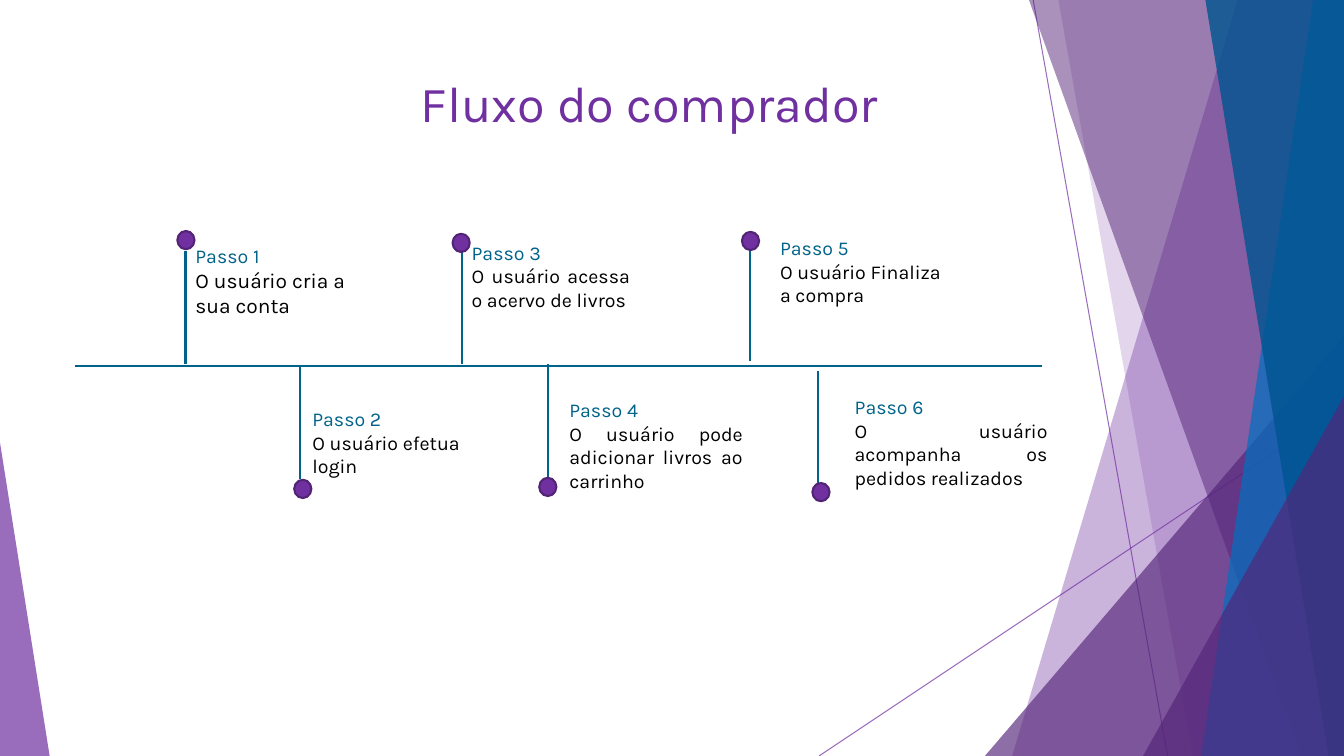
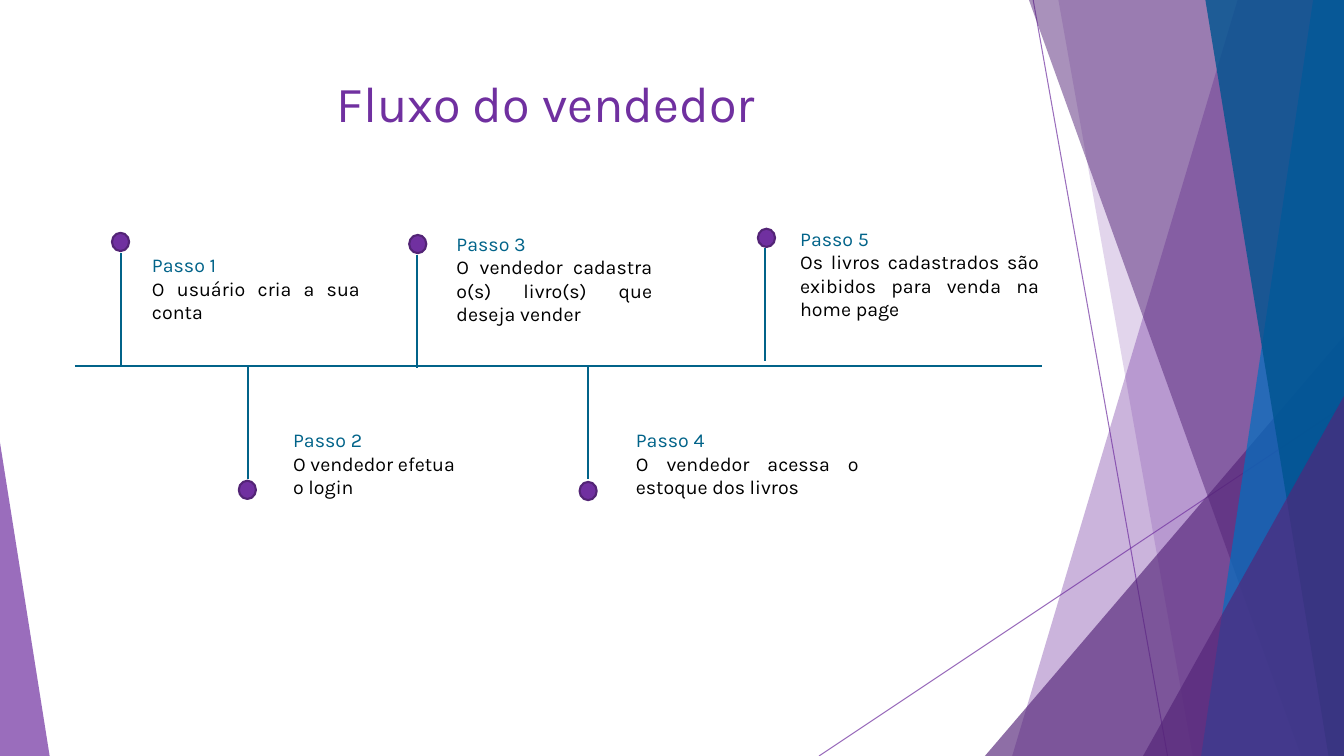
import dataclasses

import pptx
import pptx.dml.color
import pptx.enum.shapes
import pptx.enum.text
import pptx.oxml
import pptx.oxml.ns
import pptx.util

Pt = pptx.util.Pt
ALIGN = pptx.enum.text.PP_ALIGN
SHAPE = pptx.enum.shapes.MSO_SHAPE

WIDTH, HEIGHT = 960, 540
FONT = "Karla"
PURPLE, DEEP_PURPLE, DOT_EDGE = "7030A0", "542478", "532476"
BLUE, DEEP_BLUE, TEAL, BLACK = "0070C0", "005490", "016389", "000000"
AXIS_LEFT, AXIS_RIGHT, AXIS_Y = 53.5, 744, 261.5
STEM_LENGTH = 81
DOT_WIDTH, DOT_HEIGHT = 12.25, 13
BODY_SIZE, LINE_HEIGHT, INSET = 14, 16.8, 3.6


@dataclasses.dataclass
class Step:
    """Stem is (x, top), dot is (left, top), label is (left, top, width)."""
    text: str
    stem: tuple
    dot: tuple
    label: tuple
    lines: int = 2
    align: int = ALIGN.JUSTIFY
    size: float = BODY_SIZE


BUYER_STEPS = [
    Step("O usuário cria a sua conta", (132.5, 179.3), (126.7, 165),
         (132.5, 170.6, 127.4), align=ALIGN.LEFT, size=15),
    Step("O usuário efetua login", (214.6, 261.5), (210.2, 342.7),
         (216, 287.3, 128.9), align=ALIGN.LEFT),
    Step("O usuário acessa o acervo de livros", (329.8, 179.3), (323.3, 167),
         (329.8, 168.5, 127.4)),
    Step("O usuário pode adicionar livros ao carrinho", (391.7, 260), (385.2, 341.3),
         (399.6, 280.8, 138.2), lines=3),
    Step("O usuário Finaliza a compra", (535.7, 177.2), (530, 165.6),
         (550.1, 165, 135.4), align=ALIGN.LEFT),
    Step("O usuário acompanha os pedidos realizados", (584.6, 265), (580.3, 345),
         (603.4, 278.6, 152), lines=3),
]
SELLER_STEPS = [
    Step("O usuário cria a sua conta", (86.4, 180.7), (80, 166.3),
         (101.5, 177.1, 162.7)),
    Step("O vendedor efetua o login", (177.1, 261.5), (170.6, 343.4),
         (202.3, 302.4, 131.8), align=ALIGN.LEFT),
    Step("O vendedor cadastra o(s) livro(s) que deseja vender", (298.1, 182.2),
         (292.3, 167.8), (319, 162, 154.1), lines=3),
    Step("O vendedor acessa o estoque dos livros", (419.8, 261.5), (414, 344.2),
         (447.1, 302.4, 173.5)),
    Step("Os livros cadastrados são exibidos para venda na home page",
         (546.5, 177.2), (541.4, 163.4), (564.5, 158.4, 185), lines=3),
]


def paint(fill, color, opacity=100):
    fill.solid()
    fill.fore_color.rgb = pptx.dml.color.RGBColor.from_string(color)
    if opacity < 100:
        node = fill._xPr.find(".//" + pptx.oxml.ns.qn("a:srgbClr"))
        alpha = node.makeelement(pptx.oxml.ns.qn("a:alpha"), {"val": str(opacity * 1000)})
        node.append(alpha)


def finish(shape, color, opacity=100):
    """Give a shape its fill, with no outline and no shadow."""
    shape.shadow.inherit = False
    paint(shape.fill, color, opacity)
    shape.line.fill.background()


def add_line(page, x1, y1, x2, y2, color=TEAL, weight=1.5, opacity=100):
    line = page.shapes.add_connector(
        pptx.enum.shapes.MSO_CONNECTOR.STRAIGHT, Pt(x1), Pt(y1), Pt(x2), Pt(y2))
    paint(line.line.fill, color, opacity)
    line.line.width = Pt(weight)
    properties = line._element.spPr
    properties.append(properties.makeelement(pptx.oxml.ns.qn("a:effectLst"), {}))


def add_wedge(page, top_x, bottom_x, color, opacity):
    """Fill the area from a slanted left edge to the right side of the page."""
    builder = page.shapes.build_freeform(Pt(top_x), 0)
    builder.add_line_segments(
        [(Pt(WIDTH), 0), (Pt(WIDTH), Pt(HEIGHT)), (Pt(bottom_x), Pt(HEIGHT))])
    finish(builder.convert_to_shape(), color, opacity)


def add_corner(page, left, top, width, apex, color, opacity):
    """Stand a triangle on the bottom edge; apex 0 is left, 1 is right."""
    corner = page.shapes.add_shape(
        SHAPE.ISOSCELES_TRIANGLE, Pt(left), Pt(top), Pt(width), Pt(HEIGHT - top))
    corner.adjustments[0] = apex
    finish(corner, color, opacity)


def add_text(page, left, top, width, height):
    box = page.shapes.add_textbox(Pt(left), Pt(top), Pt(width), Pt(height))
    box.text_frame.word_wrap = True
    return box.text_frame


def write(para, text, size=BODY_SIZE, color=BLACK, align=ALIGN.LEFT):
    para.alignment = align
    span = para.add_run()
    span.text = text
    span.font.name = FONT
    span.font.size = Pt(size)
    paint(span.font.fill, color)


def add_backdrop(page):
    add_line(page, 738, 0, 834, HEIGHT, PURPLE, 0.75, 70)
    add_line(page, WIDTH, 290, 585, HEIGHT, PURPLE, 0.75, 70)
    add_wedge(page, 884, 723, PURPLE, 36)
    add_wedge(page, 756, 852, PURPLE, 20)
    add_corner(page, 703.5, 240, 256.5, 1, DEEP_PURPLE, 66)
    add_wedge(page, 735, 929.5, DEEP_PURPLE, 50)
    add_wedge(page, 938, 858, BLUE, 70)
    add_wedge(page, 861, 949, DEEP_BLUE, 80)
    add_corner(page, 816.5, 283, 143.5, 1, DEEP_PURPLE, 66)
    add_corner(page, 0, 316, 35.5, 0, PURPLE, 70)


def add_title(page, text, center):
    width = 400
    frame = add_text(page, center - width / 2, 48.25, width, 50.5)
    write(frame.paragraphs[0], text, size=36, color=PURPLE, align=ALIGN.CENTER)


def add_step(page, number, step):
    x, top = step.stem
    add_line(page, x, top, x, top + STEM_LENGTH)

    dot_left, dot_top = step.dot
    dot = page.shapes.add_shape(
        SHAPE.OVAL, Pt(dot_left), Pt(dot_top), Pt(DOT_WIDTH), Pt(DOT_HEIGHT))
    finish(dot, PURPLE)
    paint(dot.line.fill, DOT_EDGE)
    dot.line.width = Pt(1.5)

    height = 2 * INSET + LINE_HEIGHT * (1 + step.lines)
    frame = add_text(page, *step.label, height)
    write(frame.paragraphs[0], f"Passo {number}", color=TEAL)
    write(frame.add_paragraph(), step.text, size=step.size, align=step.align)


def add_flow(deck, title, title_center, steps):
    page = deck.slides.add_slide(deck.slide_layouts[6])
    add_backdrop(page)
    add_title(page, title, title_center)
    add_line(page, AXIS_LEFT, AXIS_Y, AXIS_RIGHT, AXIS_Y)
    for number, step in enumerate(steps, 1):
        add_step(page, number, step)


def main():
    deck = pptx.Presentation()
    deck.slide_width, deck.slide_height = Pt(WIDTH), Pt(HEIGHT)
    add_flow(deck, "Fluxo do comprador", 464, BUYER_STEPS)
    add_flow(deck, "Fluxo do vendedor", 390, SELLER_STEPS)
    deck.save("out.pptx")


if __name__ == "__main__":
    main()
